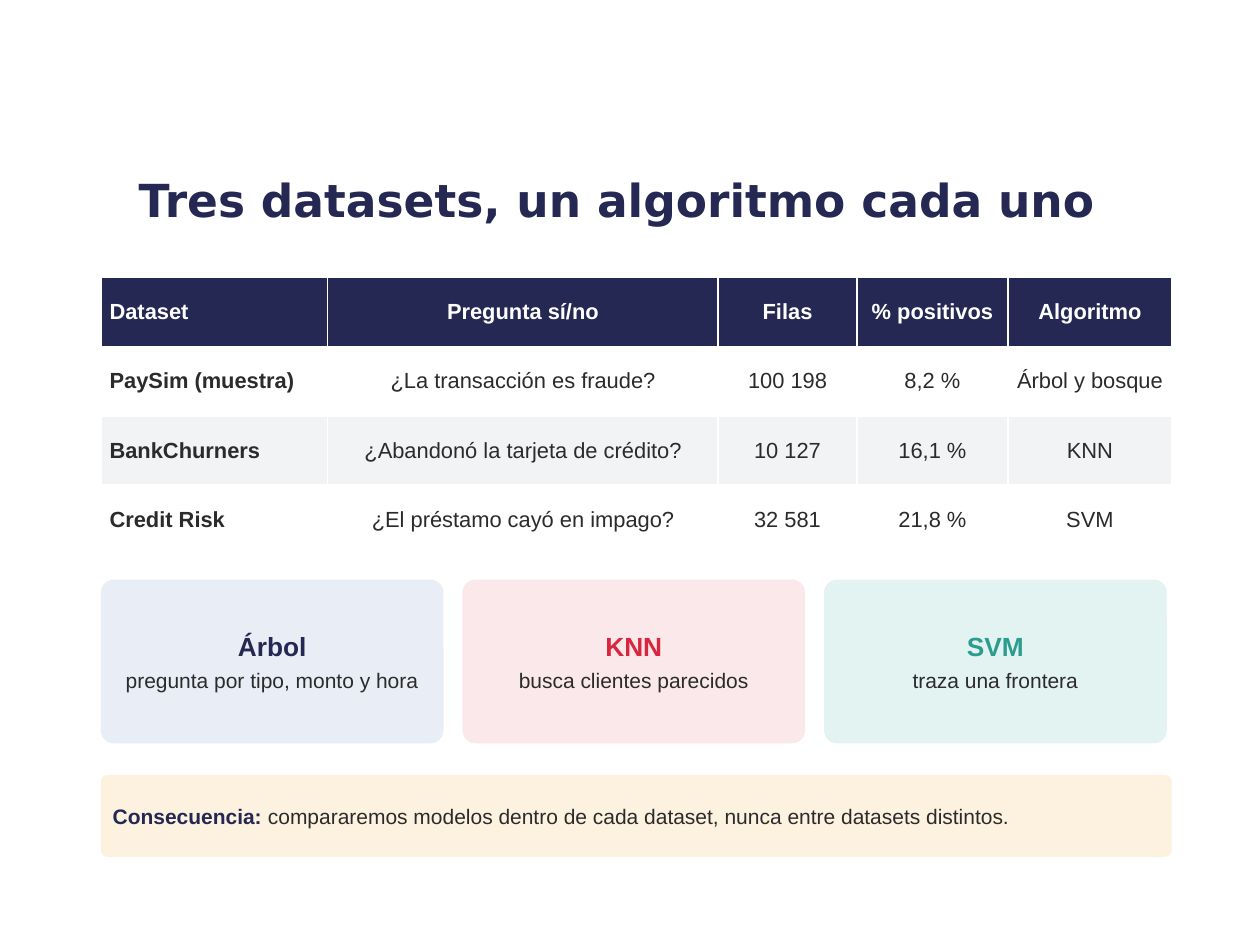
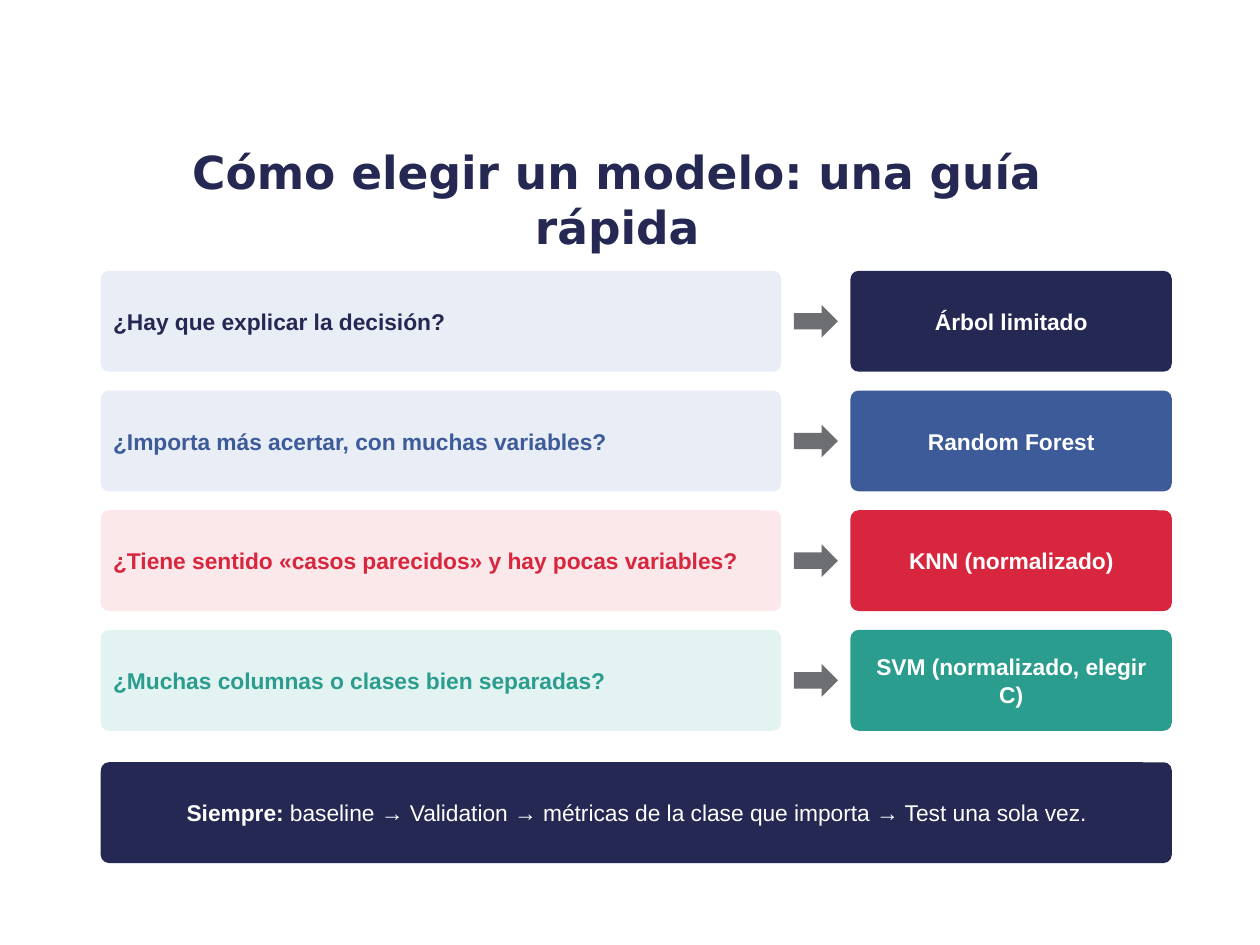
"""Build two slides that match datasets and questions with classification algorithms."""
from dataclasses import dataclass

from pptx import Presentation
from pptx import util as u
from pptx.dml.color import RGBColor
from pptx.enum import shapes, text
from pptx.shapes.autoshape import Shape
from pptx.slide import Slide
from pptx.text.text import TextFrame

LEFT = text.PP_ALIGN.LEFT
CENTER = text.PP_ALIGN.CENTER


@dataclass(frozen=True)
class Theme:
    """Colours, fonts, type sizes and common measures of the deck."""

    navy: str = "242852"
    blue: str = "3D5A99"
    red: str = "D7263D"
    green: str = "2A9D8F"
    ink: str = "2B2B2B"
    gray: str = "6D6E71"
    white: str = "FFFFFF"
    stripe: str = "F2F3F5"
    pale_blue: str = "E8EDF6"
    pale_red: str = "FBE8EA"
    pale_green: str = "E3F3F1"
    pale_amber: str = "FDF2E0"
    title_font: str = "DejaVu Sans"
    body_font: str = "Arial"
    title_size: float = 26
    card_size: float = 15
    guide_size: float = 13
    table_size: float = 12.5
    note_size: float = 12
    left: float = 0.8
    width: float = 8.5


THEME = Theme()


@dataclass(frozen=True)
class Box:
    """A place on the slide, in inches."""

    left: float
    top: float
    width: float
    height: float

    def lengths(self) -> list[u.Length]:
        """Return the four measures as lengths."""
        return [u.Inches(value) for value in (self.left, self.top, self.width, self.height)]


@dataclass(frozen=True)
class Piece:
    """A stretch of text with one format."""

    words: str
    size: float
    color: str
    bold: bool = True
    font: str = THEME.body_font


@dataclass(frozen=True)
class AlgorithmCard:
    """An algorithm and how it decides."""

    name: str
    idea: str
    color: str
    fill: str


@dataclass(frozen=True)
class GuideRow:
    """A question and the model it points to."""

    question: str
    model: str
    color: str
    fill: str


TABLE_ROWS = [
    ["Dataset", "Pregunta sí/no", "Filas", "% positivos", "Algoritmo"],
    ["PaySim (muestra)", "¿La transacción es fraude?", "100 198", "8,2 %", "Árbol y bosque"],
    ["BankChurners", "¿Abandonó la tarjeta de crédito?", "10 127", "16,1 %", "KNN"],
    ["Credit Risk", "¿El préstamo cayó en impago?", "32 581", "21,8 %", "SVM"],
]
COLUMN_WIDTHS = [1.8, 3.1, 1.1, 1.2, 1.3]
CARDS = [
    AlgorithmCard("Árbol", "pregunta por tipo, monto y hora", THEME.navy, THEME.pale_blue),
    AlgorithmCard("KNN", "busca clientes parecidos", THEME.red, THEME.pale_red),
    AlgorithmCard("SVM", "traza una frontera", THEME.green, THEME.pale_green),
]
GUIDE = [
    GuideRow("¿Hay que explicar la decisión?", "Árbol limitado", THEME.navy, THEME.pale_blue),
    GuideRow("¿Importa más acertar, con muchas variables?", "Random Forest",
             THEME.blue, THEME.pale_blue),
    GuideRow("¿Tiene sentido «casos parecidos» y hay pocas variables?", "KNN (normalizado)",
             THEME.red, THEME.pale_red),
    GuideRow("¿Muchas columnas o clases bien separadas?", "SVM (normalizado, elegir C)",
             THEME.green, THEME.pale_green),
]


def write(frame: TextFrame, paragraphs: list[list[Piece]], align: text.PP_ALIGN,
          space_after: float = 0) -> None:
    """Fill a text frame with paragraphs of formatted pieces."""
    frame.word_wrap = True
    for index, pieces in enumerate(paragraphs):
        paragraph = frame.add_paragraph() if index else frame.paragraphs[0]
        paragraph.alignment = align
        paragraph.space_after = u.Pt(space_after)
        for piece in pieces:
            run = paragraph.add_run()
            run.text = piece.words
            run.font.name = piece.font
            run.font.size = u.Pt(piece.size)
            run.font.bold = piece.bold
            run.font.color.rgb = RGBColor.from_string(piece.color)


def add_filled_shape(slide: Slide, kind: shapes.MSO_SHAPE, box: Box, fill: str) -> Shape:
    """Add a flat preset shape without an outline."""
    shape = slide.shapes.add_shape(kind, *box.lengths())
    shape.shadow.inherit = False
    shape.fill.solid()
    shape.fill.fore_color.rgb = RGBColor.from_string(fill)
    shape.line.fill.background()
    return shape


def add_panel(slide: Slide, box: Box, fill: str, paragraphs: list[list[Piece]],
              align: text.PP_ALIGN = CENTER) -> None:
    """Add a rounded panel with text in its middle."""
    shape = add_filled_shape(slide, shapes.MSO_SHAPE.ROUNDED_RECTANGLE, box, fill)
    shape.adjustments[0] = 0.08
    frame = shape.text_frame
    frame.margin_left = frame.margin_right = u.Inches(0.08)
    frame.margin_top = frame.margin_bottom = u.Inches(0.08)
    frame.vertical_anchor = text.MSO_ANCHOR.MIDDLE
    write(frame, paragraphs, align, space_after=3)


def add_titled_slide(presentation: Presentation, title: str) -> Slide:
    """Add a blank slide with the common title."""
    slide = presentation.slides.add_slide(presentation.slide_layouts[6])
    frame = slide.shapes.add_textbox(*Box(0.75, 1.18, 8.3, 0.8).lengths()).text_frame
    frame.vertical_anchor = text.MSO_ANCHOR.MIDDLE
    piece = Piece(title, THEME.title_size, THEME.navy, font=THEME.title_font)
    write(frame, [[piece]], CENTER)
    return slide


def add_dataset_table(slide: Slide) -> None:
    """Add the table of datasets with striped rows."""
    box = Box(THEME.left, 2.2, THEME.width, 2.2)
    table = slide.shapes.add_table(len(TABLE_ROWS), len(COLUMN_WIDTHS), *box.lengths()).table
    for column, width in zip(table.columns, COLUMN_WIDTHS):
        column.width = u.Inches(width)
    for row, values in enumerate(TABLE_ROWS):
        header = row == 0
        fill = THEME.navy if header else THEME.white if row % 2 else THEME.stripe
        for column, value in enumerate(values):
            cell = table.cell(row, column)
            cell.fill.solid()
            cell.fill.fore_color.rgb = RGBColor.from_string(fill)
            cell.vertical_anchor = text.MSO_ANCHOR.MIDDLE
            cell.margin_left = cell.margin_right = u.Inches(0.07)
            cell.margin_top = cell.margin_bottom = u.Inches(0.03)
            piece = Piece(value, THEME.table_size, THEME.white if header else THEME.ink,
                          bold=header or column == 0)
            write(cell.text_frame, [[piece]], CENTER if column else LEFT)


def build_dataset_slide(presentation: Presentation) -> None:
    """Build the slide that pairs each dataset with an algorithm."""
    slide = add_titled_slide(presentation, "Tres datasets, un algoritmo cada uno")
    add_dataset_table(slide)
    card_width, gap = 2.72, 0.15
    for index, card in enumerate(CARDS):
        box = Box(THEME.left + index * (card_width + gap), 4.6, card_width, 1.3)
        add_panel(slide, box, card.fill, [
            [Piece(card.name, THEME.card_size, card.color)],
            [Piece(card.idea, THEME.note_size, THEME.ink, bold=False)],
        ])
    add_panel(slide, Box(THEME.left, 6.15, THEME.width, 0.65), THEME.pale_amber, [[
        Piece("Consecuencia: ", THEME.note_size, THEME.navy),
        Piece("compararemos modelos dentro de cada dataset, nunca entre datasets distintos.",
              THEME.note_size, THEME.ink, bold=False),
    ]], LEFT)


def build_guide_slide(presentation: Presentation) -> None:
    """Build the slide that leads from questions to models."""
    slide = add_titled_slide(presentation, "Cómo elegir un modelo: una guía rápida")
    height, gap = 0.8, 0.15
    for index, row in enumerate(GUIDE):
        top = 2.15 + index * (height + gap)
        add_panel(slide, Box(THEME.left, top, 5.4, height), row.fill,
                  [[Piece(row.question, THEME.guide_size, row.color)]], LEFT)
        add_filled_shape(slide, shapes.MSO_SHAPE.RIGHT_ARROW,
                         Box(6.3, top + 0.27, 0.35, 0.26), THEME.gray)
        add_panel(slide, Box(6.75, top, 2.55, height), row.color,
                  [[Piece(row.model, THEME.guide_size, THEME.white)]])
    add_panel(slide, Box(THEME.left, 6.05, THEME.width, height), THEME.navy, [[
        Piece("Siempre: ", THEME.guide_size, THEME.white),
        Piece("baseline → Validation → métricas de la clase que importa → Test una sola vez.",
              THEME.guide_size, THEME.white, bold=False),
    ]])


def main() -> None:
    """Build and save the presentation."""
    presentation = Presentation()
    presentation.slide_width = u.Inches(10)
    presentation.slide_height = u.Inches(7.5)
    build_dataset_slide(presentation)
    build_guide_slide(presentation)
    presentation.save("out.pptx")


if __name__ == "__main__":
    main()
